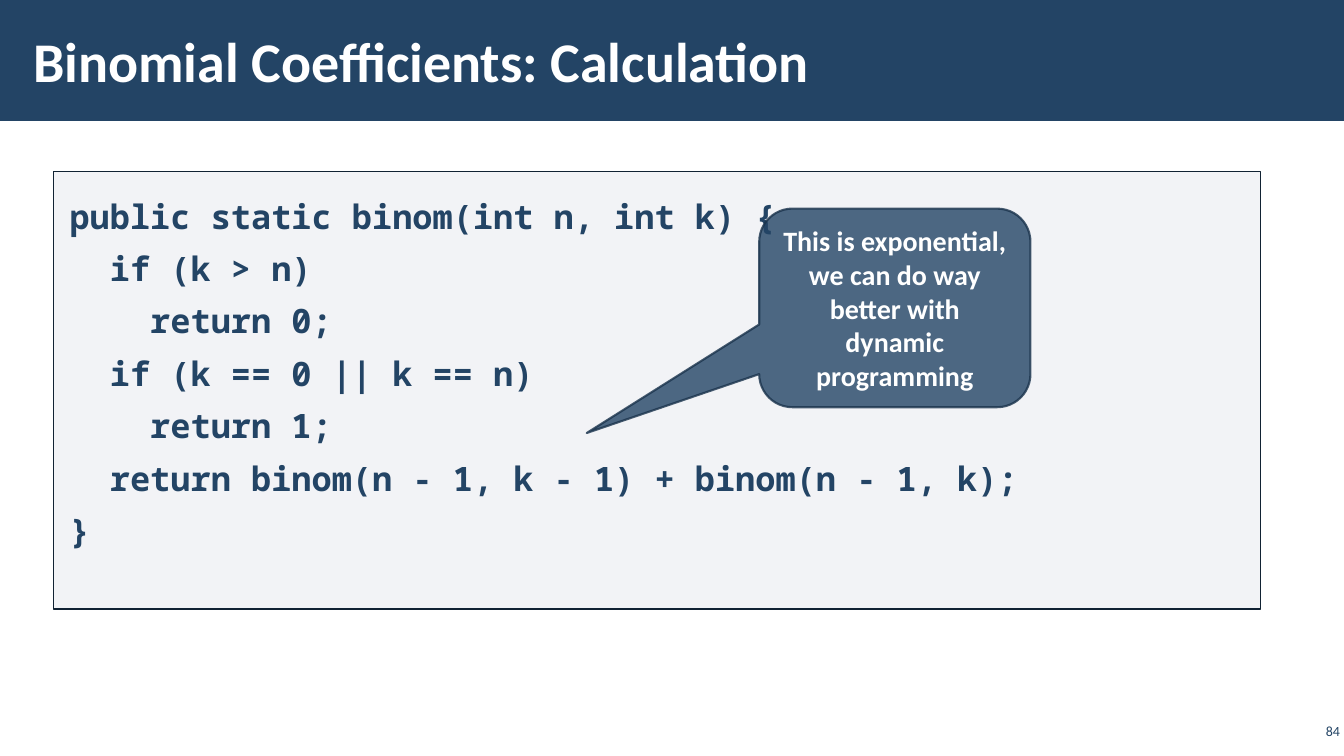
from lxml.etree import SubElement as Sub
from pptx import Presentation
from pptx.dml.color import RGBColor as Rgb
from pptx.enum.shapes import MSO_SHAPE as Form
from pptx.enum.text import MSO_ANCHOR as Anchor, MSO_AUTO_SIZE as Fit, PP_ALIGN as Align
from pptx.oxml.ns import qn
from pptx.util import Pt

SCALE = 9144
HUES = {"navy": "234465", "dark": "112233", "edge": "1A334C", "grey": "ADB4C3", "white": "FFFFFF"}
SANS, MONO = "Calibri", "Noto Sans Mono"
CODE = """public static binom(int n, int k) {
  if (k > n)
    return 0;
  if (k == 0 || k == n)
    return 1;
  return binom(n - 1, k - 1) + binom(n - 1, k);
}"""


def place(shape, *box):
    shape.left, shape.top, shape.width, shape.height = [n * SCALE for n in box]


def paint(part, hue, alpha=100):
    part.solid()
    part.fore_color.rgb = Rgb.from_string(HUES[hue])
    if alpha < 100:
        color = part._xPr.find(qn("a:solidFill"))[0]
        Sub(color, qn("a:alpha"), val=str(alpha * 1000))


def border(shape, hue, width, alpha=100):
    paint(shape.line.fill, hue, alpha)
    shape.line.width = Pt(width)


def frame(shape, side, edge, anchor):
    text = shape.text_frame
    text.word_wrap = True
    text.auto_size = Fit.NONE
    text.vertical_anchor = anchor
    text.margin_left = text.margin_right = side * SCALE
    text.margin_top = text.margin_bottom = edge * SCALE
    return text


def style(par, face, size, hue, bold=True, align=Align.LEFT):
    par.alignment = align
    font = par.font
    font.name, font.size, font.bold = face, Pt(size), bold
    font.color.rgb = Rgb.from_string(HUES[hue])


def add_form(slide, form, *box):
    shape = slide.shapes.add_shape(form, *[n * SCALE for n in box])
    shape.shadow.inherit = False
    return shape


def add_band(slide):
    band = add_form(slide, Form.RECTANGLE, 0, 0, 1334, 120)
    paint(band.fill, "navy")
    band.line.fill.background()
    slide.shapes._spTree.insert(2, band._element)


def set_title(slide, words):
    title = slide.shapes.title
    place(title, 21, 11, 1040, 97)
    text = frame(title, 12, 4, Anchor.MIDDLE)
    text.text = words
    style(text.paragraphs[0], SANS, 40, "white")


def set_code(slide, code):
    body = slide.placeholders[1]
    place(body, 53, 170, 1197, 434)
    paint(body.fill, "grey", 15)
    border(body, "dark", 1)
    text = frame(body, 16, 12, Anchor.TOP)
    text.text = code
    for par in text.paragraphs:
        prop = par._p.get_or_add_pPr()
        prop.set("marL", "0")
        prop.set("indent", "0")
        Sub(prop, qn("a:buNone"))
        par.line_spacing = 1.3
        par.space_before = Pt(0)
        style(par, MONO, 24, "navy")


def add_note(slide, words):
    note = add_form(slide, Form.ROUNDED_RECTANGULAR_CALLOUT, 753, 207, 269, 197)
    for i, val in enumerate((-1.136, 0.63, 0.167)):
        note.adjustments[i] = val
    paint(note.fill, "navy", 80)
    border(note, "edge", 1.5, 80)
    text = frame(note, 10, 5, Anchor.MIDDLE)
    text.text = words
    style(text.paragraphs[0], SANS, 20, "white", align=Align.CENTER)


def add_page(slide, page):
    box = slide.shapes.add_textbox(*[n * SCALE for n in (1286, 714, 47, 22)])
    text = frame(box, 4, 4, Anchor.MIDDLE)
    text.text = page
    style(text.paragraphs[0], SANS, 10, "navy", False, Align.RIGHT)


def main():
    deck = Presentation()
    deck.slide_width, deck.slide_height = 1333 * SCALE, 750 * SCALE
    slide = deck.slides.add_slide(deck.slide_layouts[1])
    add_band(slide)
    set_code(slide, CODE)
    set_title(slide, "Binomial Coefficients: Calculation")
    add_page(slide, "84")
    add_note(slide, "This is exponential, we can do way better with dynamic programming")
    deck.save("out.pptx")


if __name__ == "__main__":
    main()
